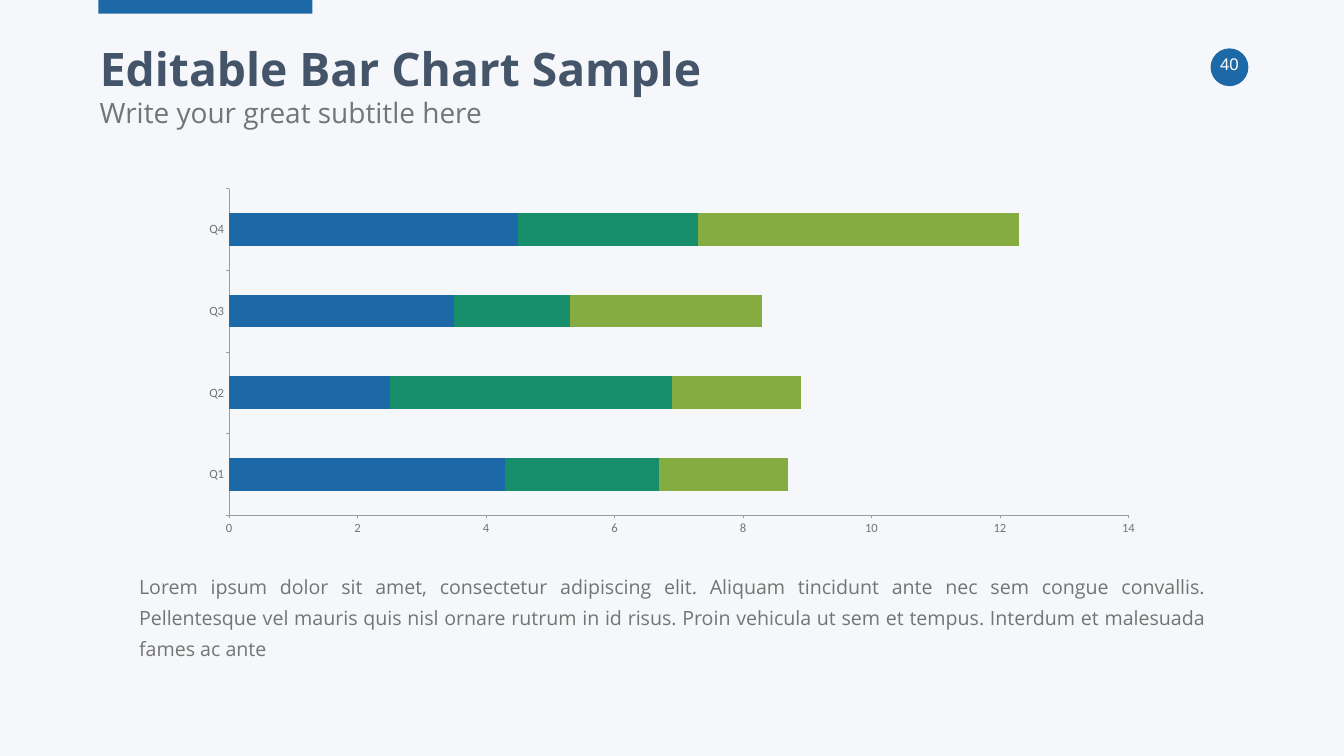
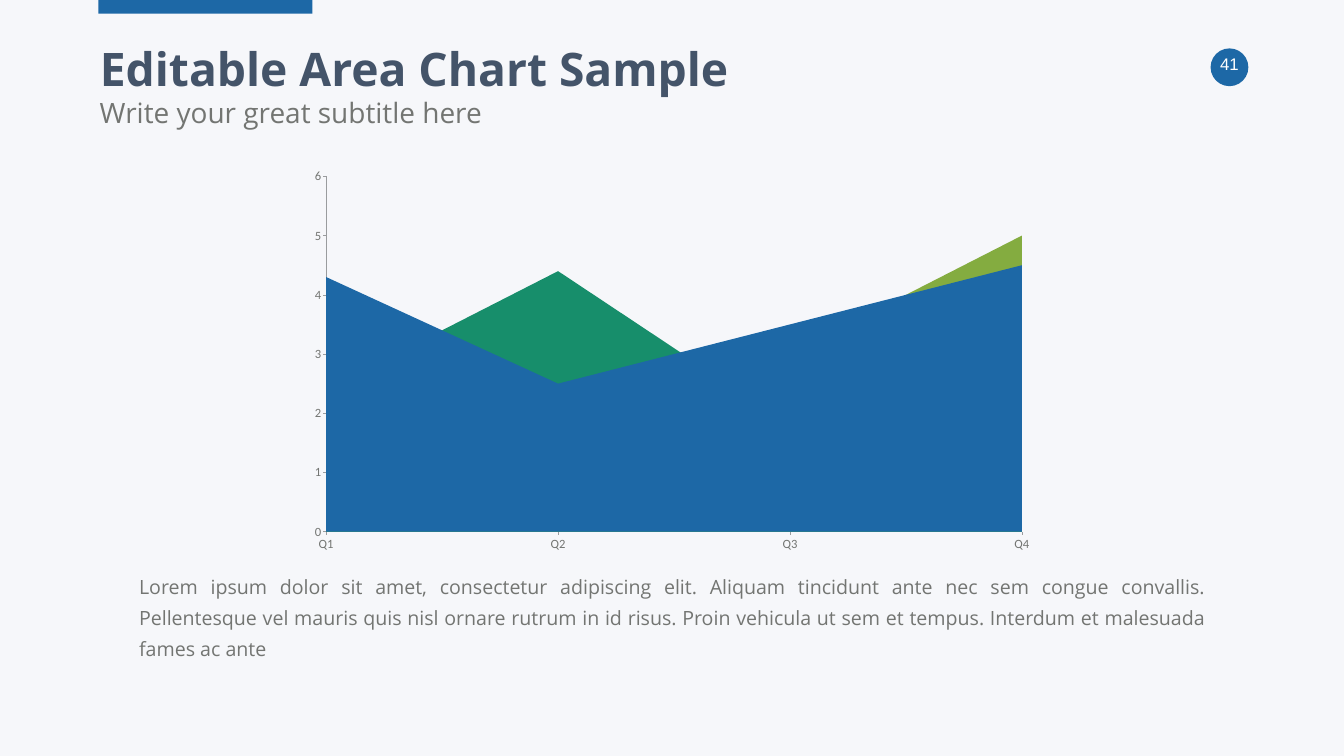
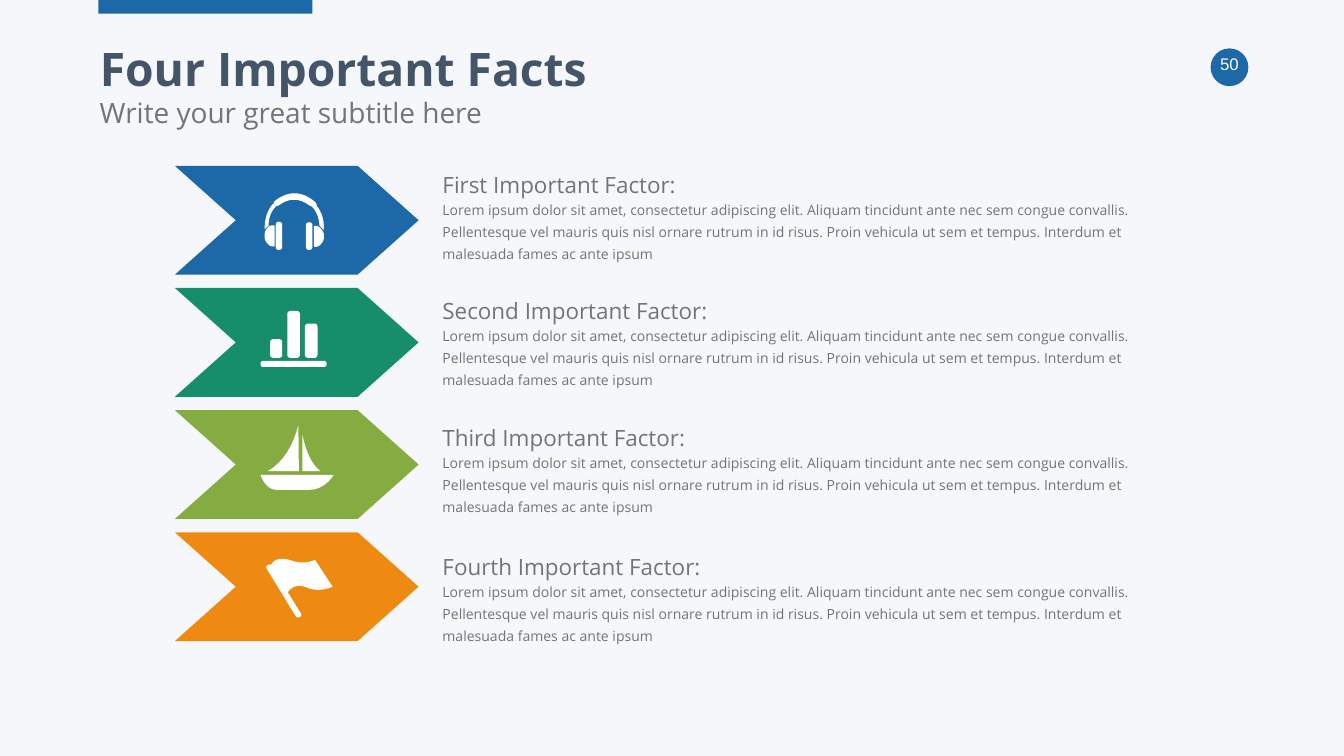
from pptx import Presentation
from pptx.chart.data import CategoryChartData
from pptx.dml.color import RGBColor
from pptx.enum.chart import XL_CHART_TYPE, XL_TICK_MARK
from pptx.enum.shapes import MSO_SHAPE
from pptx.enum.text import MSO_ANCHOR, MSO_AUTO_SIZE, PP_ALIGN
from pptx.oxml.ns import qn
from pptx.util import Pt

BACKGROUND = RGBColor(0xF6, 0xF7, 0xFA)
BLUE = RGBColor(0x1D, 0x68, 0xA6)
GREEN = RGBColor(0x17, 0x8E, 0x6B)
LIME = RGBColor(0x84, 0xAC, 0x40)
ORANGE = RGBColor(0xEE, 0x8A, 0x12)
SLATE = RGBColor(0x44, 0x54, 0x69)
GRAY = RGBColor(0x73, 0x75, 0x72)
AXIS_GRAY = RGBColor(0x9A, 0x9C, 0x9E)
WHITE = RGBColor(0xFF, 0xFF, 0xFF)

TITLE_FONT = {"name": "Open Sans", "size": Pt(66), "bold": True}
SUBTITLE_FONT = {"name": "Open Sans", "size": Pt(40)}
SUMMARY_FONT = {"name": "Open Sans", "size": Pt(28)}
HEADING_FONT = {"name": "Open Sans", "size": Pt(32)}
DETAIL_FONT = {"name": "Open Sans", "size": Pt(20)}
NUMBER_FONT = {"name": "Arial", "size": Pt(24)}
CHART_FONT = {"name": "Calibri", "size": Pt(18)}

PLAIN_FRAME = {"word_wrap": True, "auto_size": MSO_AUTO_SIZE.NONE,
               "vertical_anchor": MSO_ANCHOR.TOP}
GROWING_FRAME = {"word_wrap": True, "auto_size": MSO_AUTO_SIZE.SHAPE_TO_FIT_TEXT,
                 "vertical_anchor": MSO_ANCHOR.MIDDLE}
SUMMARY_FRAME = {**GROWING_FRAME, "margin_left": Pt(21.6), "margin_right": Pt(21.6),
                 "margin_top": Pt(10.8), "margin_bottom": Pt(10.8)}
HEADING_FRAME = {**GROWING_FRAME, "margin_top": 0, "margin_bottom": 0}

LEFT_ALIGNED = {"alignment": PP_ALIGN.LEFT}
CENTERED = {"alignment": PP_ALIGN.CENTER}
JUSTIFIED = {"alignment": PP_ALIGN.JUSTIFY, "line_spacing": 1.3}
SPACED = {"alignment": PP_ALIGN.LEFT, "line_spacing": 1.3}

SUBTITLE = "Write your great subtitle here"
LOREM = (
    "Lorem ipsum dolor sit amet, consectetur adipiscing elit. Aliquam tincidunt "
    "ante nec sem congue convallis. Pellentesque vel mauris quis nisl ornare rutrum "
    "in id risus. Proin vehicula ut sem et tempus. Interdum et malesuada fames ac ante"
)

QUARTERS = ["Q1", "Q2", "Q3", "Q4"]
SERIES = [
    ("Series 1", (4.3, 2.5, 3.5, 4.5), BLUE),
    ("Series 2", (2.4, 4.4, 1.8, 2.8), GREEN),
    ("Series 3", (2, 2, 3, 5), LIME),
]

FACTS = [
    ("First Important Factor:", BLUE, 244.8),
    ("Second Important Factor:", GREEN, 424),
    ("Third Important Factor:", LIME, 606.2),
    ("Fourth Important Factor:", ORANGE, 790.6),
]
CHEVRON_TOP = 236.9
CHEVRON_PITCH = 174.5

ICON_UNIT = 0.72
CURVE_STEPS = 8


def rounded_bar(left, top, width, height, radius):
    right, bottom, pull = left + width, top + height, 0.45 * radius
    return [
        (left + radius, top),
        (right - radius, top),
        (right - pull, top, right, top + pull, right, top + radius),
        (right, bottom - radius),
        (right, bottom - pull, right - pull, bottom, right - radius, bottom),
        (left + radius, bottom),
        (left + pull, bottom, left, bottom - pull, left, bottom - radius),
        (left, top + radius),
        (left, top + pull, left + pull, top, left + radius, top),
    ]


HEADBAND = [
    (642, 457), (644, 440, 640, 426, 632, 413), (631, 412, 629, 409, 628, 408),
    (629, 405, 627, 402, 622, 398), (600, 381, 579, 379, 557, 391),
    (554, 393, 543, 398, 543, 403), (543, 404, 542, 405, 541, 405),
    (530, 418, 525, 435, 525, 455), (526, 454, 527, 453, 528, 452),
    (530, 450, 531, 449, 533, 448), (533, 430, 539, 418, 548, 409),
    (552, 409, 557, 405, 560, 403), (578, 393, 595, 394, 613, 407),
    (615, 408, 617, 409, 619, 410), (627, 418, 633, 431, 634, 448),
    (636, 449, 637, 451, 639, 453),
]
RIGHT_CUP = [
    (623, 448), (626, 448), (630, 448, 635, 451, 637, 454),
    (641, 458, 643, 463, 643, 469), (643, 475, 641, 480, 637, 484),
    (635, 487, 630, 490, 626, 490), (623, 489),
]
LEFT_CUP = [
    (545, 448), (542, 447), (537, 447, 532, 449, 530, 453),
    (526, 457, 525, 462, 525, 468), (525, 474, 526, 479, 530, 482),
    (532, 486, 537, 489, 542, 489), (545, 489),
]
RIGHT_PAD = rounded_bar(607, 441, 13, 55, 6)
LEFT_PAD = rounded_bar(547, 440, 13, 56, 6)
HEADPHONES = [RIGHT_PAD, LEFT_PAD, HEADBAND, RIGHT_CUP, LEFT_CUP]

COLUMNS = [
    rounded_bar(517, 716, 131, 12, 5),
    rounded_bar(605, 642, 25, 68, 6),
    rounded_bar(570, 617, 25, 93, 6),
    rounded_bar(536, 673, 24, 37, 6),
]
SAILBOAT = [
    [(517, 942), (517, 942, 526, 972, 549, 972), (614, 972),
     (643, 972, 661, 945, 662, 942)],
    [(592, 844), (593, 935), (531, 935), (563, 917, 581, 884, 592, 844)],
    [(600, 863), (600, 935), (636, 935), (617, 921, 607, 894, 600, 863)],
]
FLAG = [[
    (625, 1111), (625, 1111, 604, 1121, 581, 1113), (558, 1105, 546, 1108, 537, 1121),
    (534, 1120, 532, 1120, 531, 1121), (529, 1122, 527, 1126, 529, 1128),
    (587, 1223), (588, 1224, 590, 1225, 592, 1225), (593, 1225, 594, 1225, 595, 1224),
    (598, 1223, 599, 1219, 597, 1217), (571, 1175),
    (581, 1162, 592, 1158, 615, 1168), (638, 1175, 660, 1164, 660, 1164),
]]


def apply_format(target, values):
    for name, value in values.items():
        setattr(target, name, value)


def points(*lengths):
    return [Pt(length) for length in lengths]


def paint(shape, color):
    shape.shadow.inherit = False
    shape.fill.solid()
    shape.fill.fore_color.rgb = color
    shape.line.fill.background()


def write(holder, text, font, color, frame=PLAIN_FRAME, paragraph=LEFT_ALIGNED):
    text_frame = holder.text_frame
    text_frame.text = text
    apply_format(text_frame, frame)
    line = text_frame.paragraphs[0]
    apply_format(line, paragraph)
    apply_format(line.runs[0].font, font)
    line.runs[0].font.color.rgb = color


def add_text(shapes, box, *content, **formats):
    write(shapes.add_textbox(*points(*box)), *content, **formats)


def add_block(slide, preset, box, color):
    block = slide.shapes.add_shape(preset, *points(*box))
    paint(block, color)
    return block


def flatten(outline):
    path_points = [outline[0]]
    for step in outline[1:]:
        if len(step) == 2:
            path_points.append(step)
            continue
        anchors = [path_points[-1], step[:2], step[2:4], step[4:]]
        for index in range(1, CURVE_STEPS + 1):
            t = index / CURVE_STEPS
            weights = ((1 - t) ** 3, 3 * t * (1 - t) ** 2, 3 * t * t * (1 - t), t ** 3)
            path_points.append(tuple(
                sum(weight * anchor[axis] for weight, anchor in zip(weights, anchors))
                for axis in (0, 1)
            ))
    return [(x * ICON_UNIT * 100, y * ICON_UNIT * 100) for x, y in path_points]


def add_icon(shapes, outlines):
    first, *others = [flatten(outline) for outline in outlines]
    builder = shapes.build_freeform(*first[0], scale=Pt(0.01))
    builder.add_line_segments(first[1:], close=True)
    for contour in others:
        builder.move_to(*contour[0])
        builder.add_line_segments(contour[1:], close=True)
    paint(builder.convert_to_shape(), WHITE)


def add_titled_slide(deck, title, number):
    slide = deck.slides.add_slide(deck.slide_layouts[5])
    add_block(slide, MSO_SHAPE.OVAL, (1729.4, 69.1, 54, 54), BLUE)
    add_text(slide.shapes, (1714.3, 73.4, 84.2, 57.6), str(number), NUMBER_FONT, WHITE,
             paragraph=CENTERED)
    add_block(slide, MSO_SHAPE.RECTANGLE, (140.4, 0, 306, 19.4), BLUE)
    heading = slide.shapes.title
    position = points(135.4, 53.3, 1648.8, 89.3)
    apply_format(heading, dict(zip(("left", "top", "width", "height"), position)))
    write(heading, title, TITLE_FONT, SLATE)
    add_text(slide.shapes, (135.4, 132.5, 1648.8, 67), SUBTITLE, SUBTITLE_FONT, GRAY)
    return slide


def add_quarter_chart(slide, kind, box, maximum, unit):
    quarter_data = CategoryChartData()
    quarter_data.categories = QUARTERS
    for name, values, _ in SERIES:
        quarter_data.add_series(name, values)
    chart = slide.shapes.add_chart(kind, *points(*box), quarter_data).chart
    apply_format(chart, {"has_legend": False, "has_title": False})
    apply_format(chart.font, CHART_FONT)
    chart.font.color.rgb = GRAY
    for axis in (chart.category_axis, chart.value_axis):
        apply_format(axis, {
            "has_major_gridlines": False,
            "major_tick_mark": XL_TICK_MARK.OUTSIDE,
            "minor_tick_mark": XL_TICK_MARK.NONE,
        })
        axis.format.line.color.rgb = AXIS_GRAY
        axis.format.line.width = Pt(0.75)
    apply_format(chart.value_axis,
                 {"minimum_scale": 0, "maximum_scale": maximum, "major_unit": unit})
    plot = chart.plots[0]
    plot.vary_by_categories = False
    for series, (_, _, color) in zip(plot.series, SERIES):
        series.format.fill.solid()
        series.format.fill.fore_color.rgb = color
    return chart


def add_summary(slide):
    add_text(slide.shapes, (177.1, 823, 1566, 108.7), LOREM, SUMMARY_FONT, GRAY,
             frame=SUMMARY_FRAME, paragraph=JUSTIFIED)


def add_bar_slide(deck):
    slide = add_titled_slide(deck, "Editable Bar Chart Sample", 40)
    chart = add_quarter_chart(slide, XL_CHART_TYPE.BAR_STACKED,
                              (271.4, 259.2, 1377.4, 516.2), 14, 2)
    apply_format(chart.plots[0], {"gap_width": 150, "overlap": 100})
    add_summary(slide)


def add_area_slide(deck):
    slide = add_titled_slide(deck, "Editable Area Chart Sample", 41)
    chart = add_quarter_chart(slide, XL_CHART_TYPE.AREA,
                              (428.4, 229.7, 1063.4, 570.2), 6, 1)
    for crossing in chart.value_axis._element.iter(qn("c:crossBetween")):
        crossing.set("val", "midCat")
    add_summary(slide)


def add_fact(slide, heading, top):
    fact = slide.shapes.add_group_shape().shapes
    add_text(fact, (625, top, 1012.3, 38.9), heading, HEADING_FONT, GRAY,
             frame=HEADING_FRAME)
    add_text(fact, (625, top + 32.8, 1012.3, 100.8), LOREM + " ipsum", DETAIL_FONT, GRAY,
             frame=GROWING_FRAME, paragraph=SPACED)


def add_facts_slide(deck):
    slide = add_titled_slide(deck, "Four Important Facts", 50)
    for row, (heading, color, text_top) in enumerate(FACTS):
        add_fact(slide, heading, text_top)
        chevron_box = (249.8, CHEVRON_TOP + row * CHEVRON_PITCH, 348.2, 155.5)
        chevron = add_block(slide, MSO_SHAPE.CHEVRON, chevron_box, color)
        chevron.adjustments[0] = 0.56
    headphones = slide.shapes.add_group_shape().shapes
    for outline in HEADPHONES:
        add_icon(headphones, [outline])
    for icon in (COLUMNS, SAILBOAT, FLAG):
        add_icon(slide.shapes, icon)


def main():
    deck = Presentation()
    apply_format(deck, {"slide_width": Pt(1920), "slide_height": Pt(1080)})
    backdrop = deck.slide_master.background.fill
    backdrop.solid()
    backdrop.fore_color.rgb = BACKGROUND
    add_bar_slide(deck)
    add_area_slide(deck)
    add_facts_slide(deck)
    deck.save("out.pptx")


if __name__ == "__main__":
    main()
